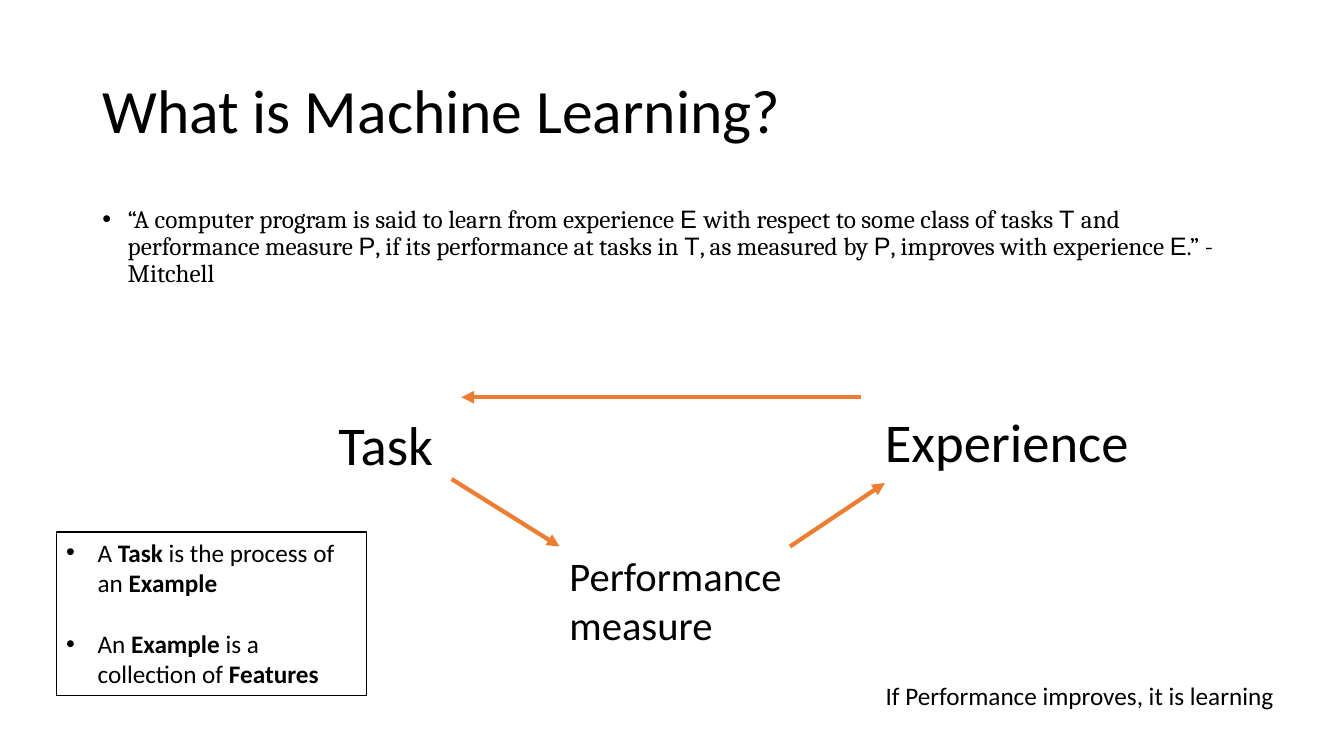
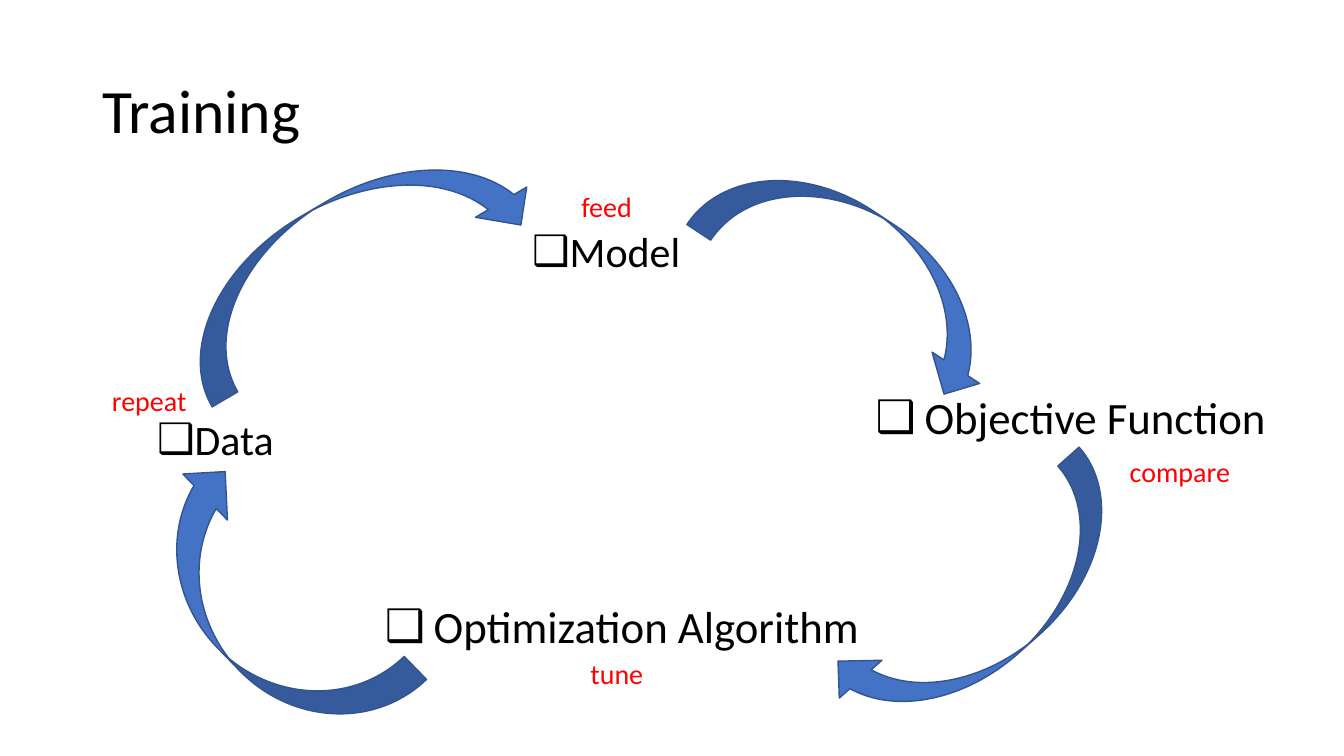
from dataclasses import dataclass

from lxml.etree import SubElement
from pptx import Presentation
from pptx.dml.color import RGBColor
from pptx.enum.shapes import MSO_CONNECTOR, MSO_SHAPE
from pptx.enum.text import MSO_ANCHOR, MSO_AUTO_SIZE, PP_ALIGN
from pptx.oxml.ns import qn
from pptx.util import Cm, Pt


@dataclass(frozen=True)
class Theme:
    ink = RGBColor(0x00, 0x00, 0x00)
    paper = RGBColor(0xFF, 0xFF, 0xFF)
    orange = RGBColor(0xED, 0x7D, 0x31)
    blue = RGBColor(0x44, 0x72, 0xC4)
    blue_edge = RGBColor(0x32, 0x54, 0x91)
    red = RGBColor(0xFF, 0x00, 0x00)
    font = "Calibri"
    quote_font = "Cambria"
    symbol_font = "Arial"
    title_size = 44
    body_size = 18
    corner_size = 39
    measure_size = 29
    label_size = 20
    short_step_size = 30
    long_step_size = 32


theme = Theme()


def add_text(slide, place, lines, size, color=theme.ink, bullet=None, indent=0.0):
    """Add a text box; pieces between asterisks become separate runs."""
    box = slide.shapes.add_textbox(*[Cm(length) for length in place])
    frame = box.text_frame
    frame.word_wrap = True
    for number, line in enumerate(lines):
        para = frame.add_paragraph() if number else frame.paragraphs[0]
        para.alignment = PP_ALIGN.LEFT
        if bullet:
            add_bullet(para, bullet, indent)
        for piece in line.split("*"):
            span = para.add_run()
            span.text = piece
            span.font.name = theme.font
            span.font.size = Pt(size)
            span.font.color.rgb = color
    return box


def add_bullet(para, character, indent):
    """Give a paragraph a bullet with a hanging indent in centimetres."""
    properties = para._p.get_or_add_pPr()
    properties.set("marL", str(Cm(indent)))
    properties.set("indent", str(-Cm(indent)))
    SubElement(properties, qn("a:buFont")).set("typeface", theme.symbol_font)
    SubElement(properties, qn("a:buChar")).set("char", character)


deck = Presentation()
deck.slide_width, deck.slide_height = Cm(33.87), Cm(19.05)

# Slides with their shared title
slides = []
for heading in ("What is Machine Learning?", "Training"):
    slide = deck.slides.add_slide(deck.slide_layouts[6])
    title = add_text(slide, (2.33, 1.02, 29.21, 3.68), [heading], theme.title_size)
    title.text_frame.vertical_anchor = MSO_ANCHOR.MIDDLE
    title.text_frame.paragraphs[0].line_spacing = 0.9
    slides.append(slide)
definition, training = slides

# Definition: quotation with the symbols in their own font
quote = add_text(
    definition, (2.33, 5.08, 29.21, 2.6),
    ["“A computer program is said to learn from experience *E *with respect to some "
     "class of tasks *T *and performance measure *P*, if its performance at tasks in "
     "*T*, as measured by *P*, improves with experience *E*.” - Mitchell"],
    theme.body_size, bullet="•", indent=0.64)
quote_para = quote.text_frame.paragraphs[0]
quote_para.line_spacing = 0.9
for number, span in enumerate(quote_para.runs):
    span.font.name = theme.symbol_font if number % 2 else theme.quote_font

# Definition: triangle of ideas and the closing remark
for place, wording, size in (
    ((22.05, 10.16, 7.04, 1.93), "Experience", theme.corner_size),
    ((8.28, 10.24, 3.07, 1.93), "Task", theme.corner_size),
    ((14.1, 13.77, 6.12, 2.74), "Performance measure", theme.measure_size),
    ((22.07, 17.02, 11.5, 1.02), "If Performance improves, it is learning", theme.body_size),
):
    add_text(definition, place, [wording], size)

# Definition: arrows between the ideas
for ends in (
    (11.38, 12.07, 14.1, 13.77),
    (19.91, 13.77, 22.3, 12.17),
    (21.69, 10.01, 11.63, 10.01),
):
    arrow = definition.shapes.add_connector(
        MSO_CONNECTOR.STRAIGHT, *[Cm(length) for length in ends])
    arrow.line.color.rgb = theme.orange
    arrow.line.width = Pt(3)
    SubElement(arrow.line._get_or_add_ln(), qn("a:tailEnd")).set("type", "triangle")
    SubElement(arrow._element.spPr, qn("a:effectLst"))

# Definition: framed glossary with bold terms
glossary = add_text(
    definition, (1.42, 13.41, 7.82, 4.11),
    ["A *Task* is the process of an *Example*",
     "An *Example* is a collection of *Features*"],
    theme.body_size, bullet="•", indent=0.79)
glossary.fill.solid()
glossary.fill.fore_color.rgb = theme.paper
glossary.line.color.rgb = theme.ink
glossary.line.width = Pt(1)
for para in glossary.text_frame.paragraphs:
    for number, span in enumerate(para.runs):
        span.font.bold = number % 2 == 1
glossary.text_frame.paragraphs[1].space_before = Pt(22)

# Training: steps of the cycle
for place, wording, size, indent in (
    ((3.71, 10.29, 3.48, 1.55), "Data", theme.short_step_size, 0.93),
    ((13.16, 5.56, 4.29, 1.55), "Model", theme.short_step_size, 0.93),
    ((9.45, 14.96, 12.9, 1.63), "Optimization Algorithm", theme.long_step_size, 1.23),
    ((21.82, 9.7, 10.49, 1.63), "Objective Function", theme.long_step_size, 1.23),
):
    step = add_text(training, place, [wording], size, bullet="❑", indent=indent)
    step.text_frame.word_wrap = False
    step.text_frame.auto_size = MSO_AUTO_SIZE.SHAPE_TO_FIT_TEXT

# Training: action labels
for left, top, width, wording in (
    (14.4, 4.65, 2.54, "feed"),
    (28.22, 11.33, 3.89, "compare"),
    (14.63, 16.41, 2.54, "tune"),
    (2.57, 9.53, 2.54, "repeat"),
):
    add_text(training, (left, top, width, 1.12), [wording], theme.label_size, theme.red)

# Training: curved arrows around the cycle
for place, angle in (
    ((3.91, 4.98, 9.78, 3.0), 329.5),
    ((17.4, 5.36, 8.48, 2.87), 33.4),
    ((20.42, 13.84, 8.84, 2.87), 138.4),
    ((2.72, 13.72, 8.1, 3.23), 225.9),
):
    turn = training.shapes.add_shape(
        MSO_SHAPE.CURVED_DOWN_ARROW, *[Cm(length) for length in place])
    turn.rotation = angle
    turn.shadow.inherit = False
    turn.fill.solid()
    turn.fill.fore_color.rgb = theme.blue
    turn.line.color.rgb = theme.blue_edge
    turn.line.width = Pt(1)

deck.save("out.pptx")
